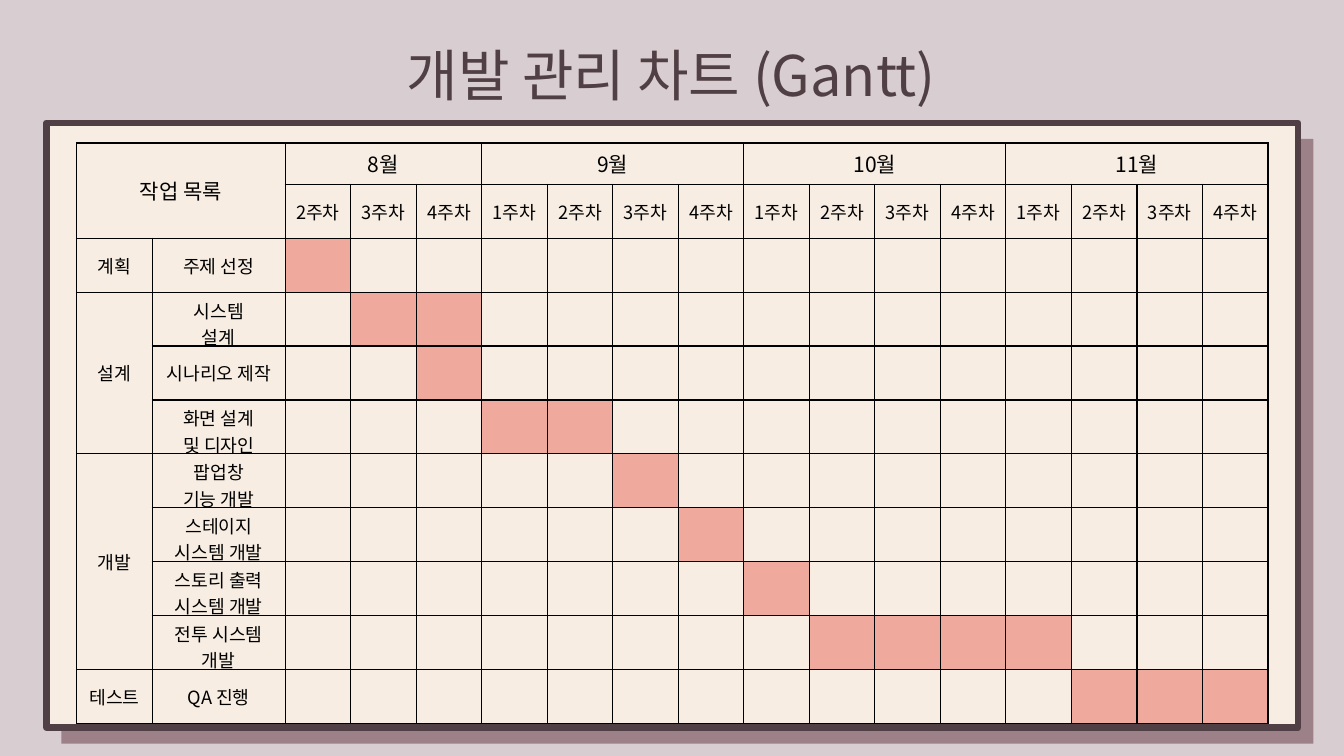
from dataclasses import dataclass
from typing import NamedTuple

from lxml.etree import SubElement
from pptx import Presentation
from pptx.dml.color import RGBColor
from pptx.enum.shapes import MSO_SHAPE
from pptx.enum.text import MSO_ANCHOR, MSO_AUTO_SIZE, PP_ALIGN
from pptx.oxml.ns import qn
from pptx.util import Pt


@dataclass(frozen=True)
class Theme:
    font: str = "Noto Sans CJK KR"
    backdrop: str = "D8CDD0"
    shade: str = "9D8189"
    paper: str = "F7EDE2"
    plum: str = "503F44"
    ink: str = "000000"
    bar: str = "EFA99D"
    title_size: int = 40
    month_size: int = 15
    cell_size: int = 13
    frame_line: float = 4.5
    grid_line: float = 1


class Box(NamedTuple):
    left: float
    top: float
    width: float
    height: float


THEME = Theme()
TITLE_BOX = Box(252, 25.2, 455, 55.4)
FRAME_BOX = Box(33.1, 87.8, 894.2, 432)

MONTHS = [("8월", (2, 3, 4)), ("9월", (1, 2, 3, 4)),
          ("10월", (1, 2, 3, 4)), ("11월", (1, 2, 3, 4))]
PHASES = [
    ("계획", [("주제 선정", 0, 1)]),
    ("설계", [("시스템\n설계", 1, 2), ("시나리오 제작", 2, 1), ("화면 설계\n및 디자인", 3, 2)]),
    ("개발", [("팝업창\n기능 개발", 5, 1), ("스테이지\n시스템 개발", 6, 1),
            ("스토리 출력\n시스템 개발", 7, 1), ("전투 시스템\n개발", 8, 4)]),
    ("테스트", [("QA 진행", 12, 3)]),
]
PHASE_WIDTH, TASK_WIDTH, WEEK_WIDTH = 54, 95, 46.8
MONTH_HEIGHT, ROW_HEIGHT = 29.5, 38.5
LABEL_COLUMNS = HEADER_ROWS = 2


def rgb(color):
    return RGBColor.from_string(color)


def write(frame, text, size, color):
    frame.text = text
    for paragraph in frame.paragraphs:
        paragraph.alignment = PP_ALIGN.CENTER
        for run in paragraph.runs:
            run.font.size = Pt(size)
            run.font.name = THEME.font
            run.font.color.rgb = rgb(color)
            east_asian = SubElement(run.font._element, qn("a:ea"))
            east_asian.set("typeface", THEME.font)


def draw_title(slide, box):
    title = slide.shapes.add_textbox(*map(Pt, box)).text_frame
    title.word_wrap = False
    title.auto_size = MSO_AUTO_SIZE.SHAPE_TO_FIT_TEXT
    write(title, "개발 관리 차트 (Gantt)", THEME.title_size, THEME.plum)


def draw_panel(slide, box, fill, line=None):
    panel = slide.shapes.add_shape(MSO_SHAPE.RECTANGLE, *map(Pt, box))
    panel.shadow.inherit = False
    panel.fill.solid()
    panel.fill.fore_color.rgb = rgb(fill)
    if line:
        panel.line.color.rgb = rgb(line)
        panel.line.width = Pt(THEME.frame_line)
    else:
        panel.line.fill.background()


def style_cell(cell):
    properties = cell._tc.get_or_add_tcPr()
    for side in ("a:lnL", "a:lnR", "a:lnT", "a:lnB"):
        border = SubElement(properties, qn(side), w=str(Pt(THEME.grid_line)))
        solid = SubElement(border, qn("a:solidFill"))
        SubElement(solid, qn("a:srgbClr"), val=THEME.ink)
    cell.fill.background()
    cell.vertical_anchor = MSO_ANCHOR.MIDDLE


def label(cell, text, size=THEME.cell_size):
    write(cell.text_frame, text, size, THEME.ink)


def fill_header(gantt):
    work_list = gantt.cell(0, 0)
    work_list.merge(gantt.cell(1, 1))
    label(work_list, "작업 목록", THEME.month_size)
    column = LABEL_COLUMNS
    for month, weeks in MONTHS:
        month_cell = gantt.cell(0, column)
        month_cell.merge(gantt.cell(0, column + len(weeks) - 1))
        label(month_cell, month, THEME.month_size)
        for week in weeks:
            label(gantt.cell(1, column), f"{week}주차")
            column += 1


def fill_tasks(gantt):
    row = HEADER_ROWS
    for phase, tasks in PHASES:
        phase_cell = gantt.cell(row, 0)
        if len(tasks) > 1:
            phase_cell.merge(gantt.cell(row + len(tasks) - 1, 0))
        label(phase_cell, phase)
        for task, start, duration in tasks:
            label(gantt.cell(row, 1), task)
            for week in range(start, start + duration):
                bar = gantt.cell(row, LABEL_COLUMNS + week)
                bar.fill.solid()
                bar.fill.fore_color.rgb = rgb(THEME.bar)
            row += 1


def draw_gantt(slide, box):
    week_count = sum(len(weeks) for _, weeks in MONTHS)
    task_count = sum(len(tasks) for _, tasks in PHASES)
    widths = [PHASE_WIDTH, TASK_WIDTH] + [WEEK_WIDTH] * week_count
    heights = [MONTH_HEIGHT] + [ROW_HEIGHT] * (task_count + 1)
    gantt = slide.shapes.add_table(
        len(heights), len(widths), Pt(box.left + 21.6), Pt(box.top + 14.4),
        Pt(sum(widths)), Pt(sum(heights))).table
    gantt.first_row = gantt.horz_banding = False
    for column, width in zip(gantt.columns, widths):
        column.width = Pt(width)
    for row, height in zip(gantt.rows, heights):
        row.height = Pt(height)
    for cell in gantt.iter_cells():
        style_cell(cell)
    fill_header(gantt)
    fill_tasks(gantt)


def build_gantt_slide(deck):
    slide = deck.slides.add_slide(deck.slide_layouts[6])
    slide.background.fill.solid()
    slide.background.fill.fore_color.rgb = rgb(THEME.backdrop)
    shade_box = FRAME_BOX._replace(left=FRAME_BOX.left + 10.8, top=FRAME_BOX.top + 11.5)
    draw_panel(slide, shade_box, THEME.shade)
    draw_title(slide, TITLE_BOX)
    draw_panel(slide, FRAME_BOX, THEME.paper, THEME.plum)
    draw_gantt(slide, FRAME_BOX)


def main():
    deck = Presentation()
    deck.slide_width, deck.slide_height = Pt(960), Pt(540)
    build_gantt_slide(deck)
    deck.save("out.pptx")


if __name__ == "__main__":
    main()
